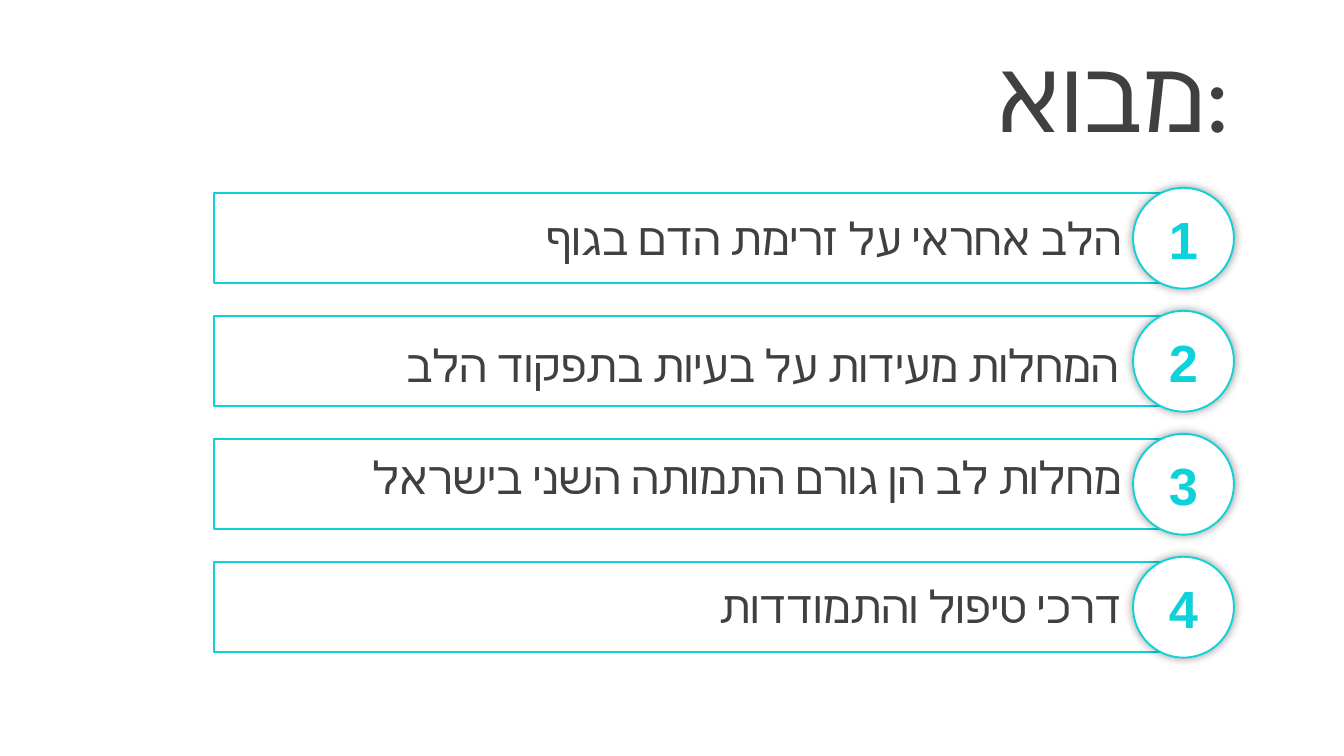
from lxml import etree
from pptx import Presentation
from pptx.dml.color import RGBColor
from pptx.enum import shapes, text
from pptx.oxml import ns
from pptx.util import Pt

ACCENT, INK, WHITE = "0DD2D9", "404040", "FFFFFF"
ROW_LEFT, ROW_TOP, ROW_PITCH = 114.5, 100.6, 65.9
ROWS = [
    ("הלב אחראי על זרימת הדם בגוף", 165, 8.8),
    ("המחלות מעידות על בעיות בתפקוד הלב", 163.5, 10.6),
    ("מחלות לב הן גורם התמותה השני בישראל", 165, 5.2),
    ("דרכי טיפול והתמודדות", 165, 8.4),
]


def rgb(value):
    """Turn a hex string into a colour."""
    return RGBColor.from_string(value)


def add_text(s, box, words, size, color, align, font="Calibri", bold=False):
    """Add a one-line text box, vertically centred."""
    tf = s.shapes.add_textbox(*map(Pt, box)).text_frame
    tf.word_wrap = True
    tf.vertical_anchor = text.MSO_ANCHOR.MIDDLE
    p = tf.paragraphs[0]
    p.alignment = align
    r = p.add_run()
    r.text = words
    r.font.name, r.font.size, r.font.bold = font, Pt(size), bold
    r.font.color.rgb = rgb(color)
    cs = etree.SubElement(r.font._element, ns.qn("a:cs"))
    cs.set("typeface", font)


def add_outline(s, kind, box):
    """Add a preset shape with a thin accent line and no shadow."""
    sp = s.shapes.add_shape(kind, *map(Pt, box))
    sp.shadow.inherit = False
    sp.fill.background()
    sp.line.color.rgb = rgb(ACCENT)
    sp.line.width = Pt(1)
    return sp


def add_glow(sp):
    """Give a shape a soft, centred black shadow."""
    effects = sp._element.spPr.find(ns.qn("a:effectLst"))
    shadow = etree.SubElement(effects, ns.qn("a:outerShdw"), blurRad=str(Pt(5)),
                              dist="0", dir="0", algn="ctr", rotWithShape="0")
    color = etree.SubElement(shadow, ns.qn("a:srgbClr"), val="000000")
    etree.SubElement(color, ns.qn("a:alpha"), val="40000")


def add_title(s, left, top, width, height):
    """Place the slide title."""
    add_text(s, (left, top, width, height), "מבוא:", 54, INK, text.PP_ALIGN.RIGHT)


def add_row(s, left, top, number, words, label_right, label_drop):
    """Place one numbered row: bar, label, disc and number."""
    add_outline(s, shapes.MSO_SHAPE.RECTANGLE, (left, top + 2.6, 517.7, 48.4))
    add_text(s, (left + label_right - 115, top + label_drop, 443.5, 36),
             words, 24, INK, text.PP_ALIGN.RIGHT)
    disc = add_outline(s, shapes.MSO_SHAPE.OVAL, (left + 492.5, top, 54, 54))
    disc.fill.solid()
    disc.fill.fore_color.rgb = rgb(WHITE)
    add_glow(disc)
    add_text(s, (left + 502.5, top + 6.8, 34, 41), str(number), 28, ACCENT,
             text.PP_ALIGN.CENTER, "Arial", True)


def main():
    """Build and save the slide."""
    prs = Presentation()
    prs.slide_width, prs.slide_height = Pt(720), Pt(405)
    s = prs.slides.add_slide(prs.slide_layouts[6])
    add_title(s, 60, 26.6, 607, 45.4)
    for i, (words, label_right, label_drop) in enumerate(ROWS):
        add_row(s, ROW_LEFT, ROW_TOP + i * ROW_PITCH, i + 1, words,
                label_right, label_drop)
    prs.save("out.pptx")


if __name__ == "__main__":
    main()
